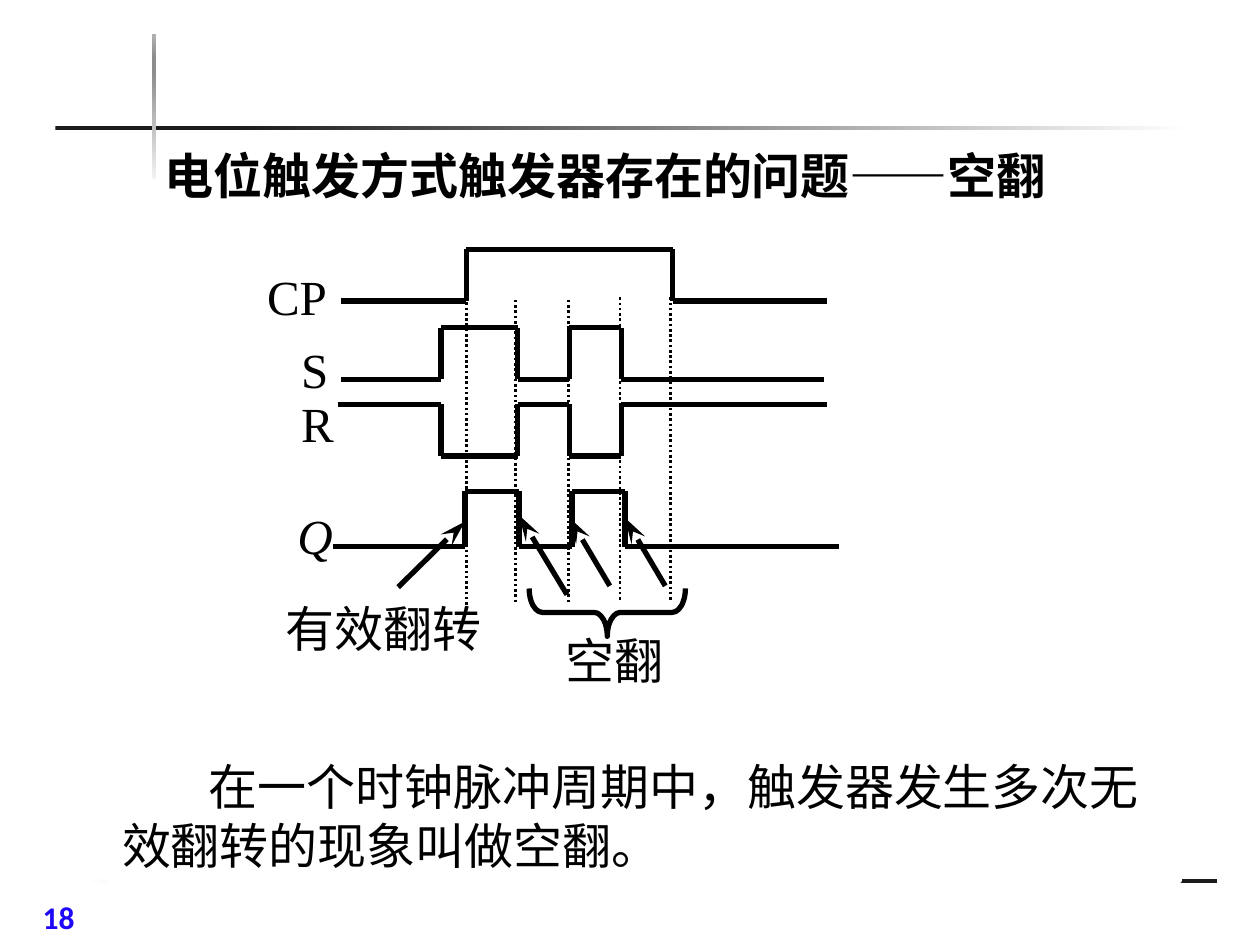
from dataclasses import dataclass
from itertools import pairwise
from lxml import etree
from pptx import Presentation
from pptx import util as u
from pptx.dml import color, line as dash
from pptx.enum import dml, shapes, text
from pptx.oxml import ns

HUES = {"ink": "000000", "paper": "FFFFFF", "dark": "1C1C1C", "pale": "F2F2F2",
        "grey": "8C8C8C", "mist": "B2B2B2", "blue": "1F08F8"}
ROMAN, HAN = "Times New Roman", "Noto Sans CJK SC"
TIGHT = {"margin_left": 0, "margin_right": 0, "margin_top": 0, "margin_bottom": 0,
         "word_wrap": False}
LOOSE = {"word_wrap": True}


@dataclass
class Bar:
    box: tuple
    stops: tuple
    angle: int


@dataclass
class Wave:
    start: float
    edges: tuple
    end: float
    rest: float
    pulse: float


@dataclass
class Label:
    words: str
    box: tuple
    frame: dict
    font: dict
    hue: str = "ink"
    indent: float = 0
    boxed: bool = False


BARS = [
    Bar((0.66, 6.98, 9, 0.03), ((0, "paper"), (87, "dark")), 0),
    Bar((0.44, 1, 9, 0.03), ((16, "dark"), (100, "paper")), 0),
    Bar((1.21, 0.27, 0.03, 1.15),
        ((0, "pale"), (74, "grey"), (83, "grey"), (100, "mist")), 270),
]
EDGES = (3.5, 4.11, 4.52, 4.93)
WAVES = [
    Wave(2.71, (3.7, 5.34), 6.56, 2.39, 1.98),
    Wave(2.71, EDGES, 6.54, 3.01, 2.6),
    Wave(2.68, EDGES, 6.56, 3.21, 3.62),
    Wave(2.64, (3.69, 4.12, 4.54, 4.96), 6.66, 4.34, 3.9),
]
ARROWS = [
    ((3.16, 4.66), (3.69, 4.14)),
    ((4.5, 4.72), (4.12, 4.09)),
    ((4.84, 4.65), (4.52, 4.11)),
    ((5.28, 4.65), (4.96, 4.11)),
]
GUIDES = [(3.7, 2.4), (4.09, 2.38), (4.51, 2.38), (4.92, 2.36), (5.32, 2.36)]
PLAIN = {"name": ROMAN, "size": u.Pt(28)}
LABELS = [
    Label("18", (0.24, 7.09, 0.99, 0.37), LOOSE,
          {"name": "Calibri", "size": u.Pt(18), "bold": True}, "blue"),
    Label("电位触发方式触发器存在的问题——空翻", (1.21, 1.1, 7.33, 0.57), LOOSE,
          PLAIN | {"bold": True}),
    Label("CP", (2.12, 2.11, 0.48, 0.47), TIGHT, PLAIN),
    Label("S", (2.39, 2.69, 0.33, 0.47), TIGHT | LOOSE, PLAIN),
    Label("R", (2.39, 3.12, 0.26, 0.47), TIGHT, PLAIN),
    Label("Q", (2.36, 4.01, 0.28, 0.47), TIGHT, PLAIN | {"italic": True}),
    Label("有效翻转", (2.27, 4.75, 1.56, 0.47), TIGHT, PLAIN, boxed=True),
    Label("空翻", (4.49, 5, 0.78, 0.47), TIGHT, PLAIN, boxed=True),
    Label("在一个时钟脉冲周期中，触发器发生多次无效翻转的现象叫做空翻。",
          (0.87, 5.96, 8.49, 1.03), LOOSE, PLAIN, indent=0.69, boxed=True),
]


def tint(name: str) -> color.RGBColor:
    return color.RGBColor.from_string(HUES[name])


def apply(item, values: dict) -> None:
    for key, value in values.items():
        setattr(item, key, value)


def add(parent, tag: str, **attrs: str):
    return etree.SubElement(parent, ns.qn(tag), attrs)


def stroke(line: dash.LineFormat, hue: str, width: float = 3) -> None:
    line.color.rgb = tint(hue)
    line.width = u.Pt(width)


def shape(slide, kind, box: tuple):
    item = slide.shapes.add_shape(kind, *map(u.Inches, box))
    item.shadow.inherit = False
    item.fill.background()
    item.line.fill.background()
    return item


def bar(slide, spec_: Bar) -> None:
    item = shape(slide, shapes.MSO_SHAPE.RECTANGLE, spec_.box)
    item.fill.gradient()
    item.fill.gradient_angle = -spec_.angle % 360
    stops = item.element.spPr.find(".//" + ns.qn("a:gsLst"))
    for old in list(stops):
        stops.remove(old)
    for place, hue in spec_.stops:
        add(add(stops, "a:gs", pos=str(place * 1000)), "a:srgbClr", val=HUES[hue])


def link(slide, start: tuple, end: tuple, width: float = 3):
    item = slide.shapes.add_connector(
        shapes.MSO_CONNECTOR.STRAIGHT, *map(u.Inches, (*start, *end)))
    stroke(item.line, "ink", width)
    return item


def finish(item) -> None:
    add(item.element.spPr, "a:effectLst")


def wave(slide, trace: Wave) -> None:
    levels = (trace.rest, trace.pulse)
    points = [(trace.start, trace.rest)]
    for step, edge in enumerate(trace.edges):
        points += [(edge, levels[step % 2]), (edge, levels[(step + 1) % 2])]
    points.append((trace.end, trace.rest))
    for start, end in pairwise(points):
        finish(link(slide, start, end))


def arrow(slide, start: tuple, tip: tuple) -> None:
    item = link(slide, start, tip)
    add(item.line._get_or_add_ln(), "a:tailEnd", type="stealth", w="med", len="lg")
    finish(item)


def guide(slide, x: float, top: float) -> None:
    item = link(slide, (x, top), (x, top + 2.41), 1.5)
    item.line.dash_style = dml.MSO_LINE.ROUND_DOT
    finish(item)


def label(slide, note: Label) -> None:
    if note.boxed:
        item = shape(slide, shapes.MSO_SHAPE.RECTANGLE, note.box)
        stroke(item.line, "paper")
    else:
        item = slide.shapes.add_textbox(*map(u.Inches, note.box))
    frame = item.text_frame
    apply(frame, note.frame | {"vertical_anchor": text.MSO_ANCHOR.MIDDLE})
    para = frame.paragraphs[0]
    para.alignment = text.PP_ALIGN.LEFT
    if note.indent:
        para._p.get_or_add_pPr().set("indent", str(u.Inches(note.indent)))
    run = para.add_run()
    run.text = note.words
    apply(run.font, note.font)
    run.font.color.rgb = tint(note.hue)
    add(run._r.get_or_add_rPr(), "a:ea", typeface=HAN)


def brace(slide) -> None:
    item = shape(slide, shapes.MSO_SHAPE.LEFT_BRACE, (4.63, 4.24, 0.38, 1.24))
    item.rotation = 270
    item.adjustments[0] = 0.275
    item.adjustments[1] = 0.5
    stroke(item.line, "ink")


def main() -> None:
    deck = Presentation()
    deck.slide_width, deck.slide_height = u.Inches(10), u.Inches(7.5)
    slide = deck.slides.add_slide(deck.slide_layouts[6])
    for item in BARS:
        bar(slide, item)
    for item in WAVES:
        wave(slide, item)
    for start, tip in ARROWS:
        arrow(slide, start, tip)
    for note in LABELS:
        label(slide, note)
    for x, top in GUIDES:
        guide(slide, x, top)
    brace(slide)
    deck.save("out.pptx")


if __name__ == "__main__":
    main()
